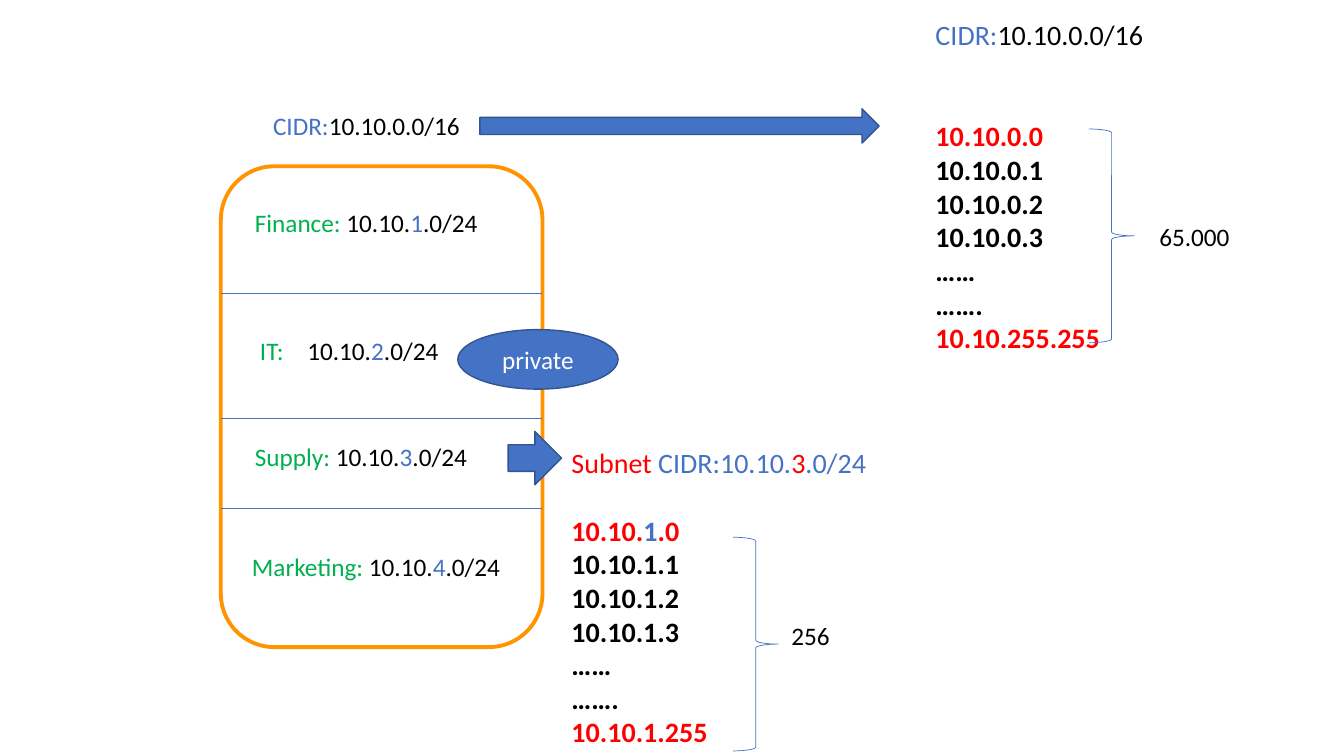
from lxml.etree import SubElement
from pptx import Presentation
from pptx.dml.color import RGBColor
from pptx.enum.shapes import MSO_CONNECTOR, MSO_SHAPE
from pptx.enum.text import MSO_ANCHOR, PP_ALIGN
from pptx.oxml.ns import qn
from pptx.util import Inches, Pt

BLUE = RGBColor(0x44, 0x72, 0xC4)
DARK_BLUE = RGBColor(0x32, 0x54, 0x91)
ORANGE = RGBColor(0xFF, 0x93, 0x00)
GREEN = RGBColor(0x00, 0xB0, 0x50)
RED = RGBColor(0xFF, 0x00, 0x00)
BLACK = RGBColor(0x00, 0x00, 0x00)
WHITE = RGBColor(0xFF, 0xFF, 0xFF)

prs = Presentation()
prs.slide_width, prs.slide_height = Inches(13.33), Inches(7.5)
slide = prs.slides.add_slide(prs.slide_layouts[6])


def add_text(left, top, width, height, lines, size=18, list_gap=0):
    """Each line is a list of (text, colour); lines after the first are a bold list."""
    box = slide.shapes.add_textbox(Inches(left), Inches(top), Inches(width), Inches(height))
    frame = box.text_frame
    frame.word_wrap = False
    for index, line in enumerate(lines):
        paragraph = frame.add_paragraph() if index else frame.paragraphs[0]
        if index == 1:
            paragraph.space_before = Pt(list_gap)
        for text, colour in line:
            run = paragraph.add_run()
            run.text = text
            run.font.name = "Calibri"
            run.font.size = Pt(size)
            run.font.bold = index > 0
            run.font.color.rgb = colour
    return frame


def add_outlined(kind, left, top, width, height, line, weight, fill=None):
    shape = slide.shapes.add_shape(kind, Inches(left), Inches(top), Inches(width), Inches(height))
    shape.shadow.inherit = False
    if fill is None:
        shape.fill.background()
    else:
        shape.fill.solid()
        shape.fill.fore_color.rgb = fill
    shape.line.color.rgb = line
    shape.line.width = Pt(weight)
    return shape


# Network with its four departments
NET_LEFT, NET_WIDTH = 2.19, 3.19
add_outlined(MSO_SHAPE.ROUNDED_RECTANGLE, NET_LEFT, 1.65, NET_WIDTH, 4.77, ORANGE, 2.75)

departments = [
    ("Finance: ", 2.43, 2.01, 2.43),
    ("IT:\t", 2.48, 3.28, 1.98),
    ("Supply: ", 2.43, 4.33, 2.33),
    ("Marketing: ", 2.4, 5.42, 2.69),
]
for number, (name, left, top, width) in enumerate(departments, start=1):
    subnet = [(name, GREEN), ("10.10.", BLACK), (str(number), BLUE), (".0/24", BLACK)]
    department = add_text(left, top, width, 0.4, [subnet])
    if "\t" in name:
        properties = department.paragraphs[0]._p.get_or_add_pPr()
        tabs = SubElement(properties, qn("a:tabLst"))
        SubElement(tabs, qn("a:tab"), pos=str(Inches(0.47)), algn="l")

for y in (2.91, 4.15, 5.04):
    divider = slide.shapes.add_connector(
        MSO_CONNECTOR.STRAIGHT, Inches(NET_LEFT), Inches(y), Inches(NET_LEFT + NET_WIDTH), Inches(y))
    divider.line.color.rgb = BLUE
    divider.line.width = Pt(0.5)
    SubElement(divider._element.spPr, qn("a:effectLst"))

# Address ranges
LINE_HEIGHT = 24.4
network_cidr = [("CIDR:", BLUE), ("10.10.0.0/16", BLACK)]
subnet_cidr = [("Subnet", RED), (" CIDR:10.10.", BLUE), ("3", RED), (".0/24", BLUE)]
ranges = [
    (9.18, 0.12, 2.28, 3.47, network_cidr, [("10.10.0.0", RED)], "10.10.0.", "10.10.255.255", 2),
    (5.57, 4.37, 3.14, 3.13, subnet_cidr, [("10.10.", RED), ("1", BLUE), (".0", RED)],
     "10.10.1.", "10.10.1.255", 1),
]
for left, top, width, height, heading, first, prefix, last, blank_lines in ranges:
    middle = [f"{prefix}{host}" for host in (1, 2, 3)] + ["……", "……."]
    lines = [heading, first, *([(address, BLACK)] for address in middle), [(last, RED)]]
    add_text(left, top, width, height, lines, 20, blank_lines * LINE_HEIGHT)

# Address counts
for brace_left, brace_top, left, top, width, count in [
    (10.8, 1.28, 11.4, 2.15, 0.9, "65.000"),
    (7.27, 5.33, 7.75, 6.1, 0.59, "256"),
]:
    add_outlined(MSO_SHAPE.RIGHT_BRACE, brace_left, brace_top, 0.45, 2.12, BLUE, 0.5)
    add_text(left, top, width, 0.4, [[(count, BLACK)]])

add_text(2.61, 1.05, 2.07, 0.4, [network_cidr])

# Arrows and privacy label
add_outlined(MSO_SHAPE.RIGHT_ARROW, 4.76, 1.08, 3.96, 0.34, DARK_BLUE, 1, BLUE)
add_outlined(MSO_SHAPE.RIGHT_ARROW, 5.04, 4.28, 0.53, 0.53, DARK_BLUE, 1, BLUE)
private = add_outlined(MSO_SHAPE.OVAL, 4.54, 3.27, 1.59, 0.59, DARK_BLUE, 1, BLUE)
private.text_frame.text = "private"
private.text_frame.vertical_anchor = MSO_ANCHOR.MIDDLE
label = private.text_frame.paragraphs[0]
label.alignment = PP_ALIGN.CENTER
label.runs[0].font.name = "Calibri"
label.runs[0].font.size = Pt(18)
label.runs[0].font.color.rgb = WHITE

prs.save("out.pptx")
